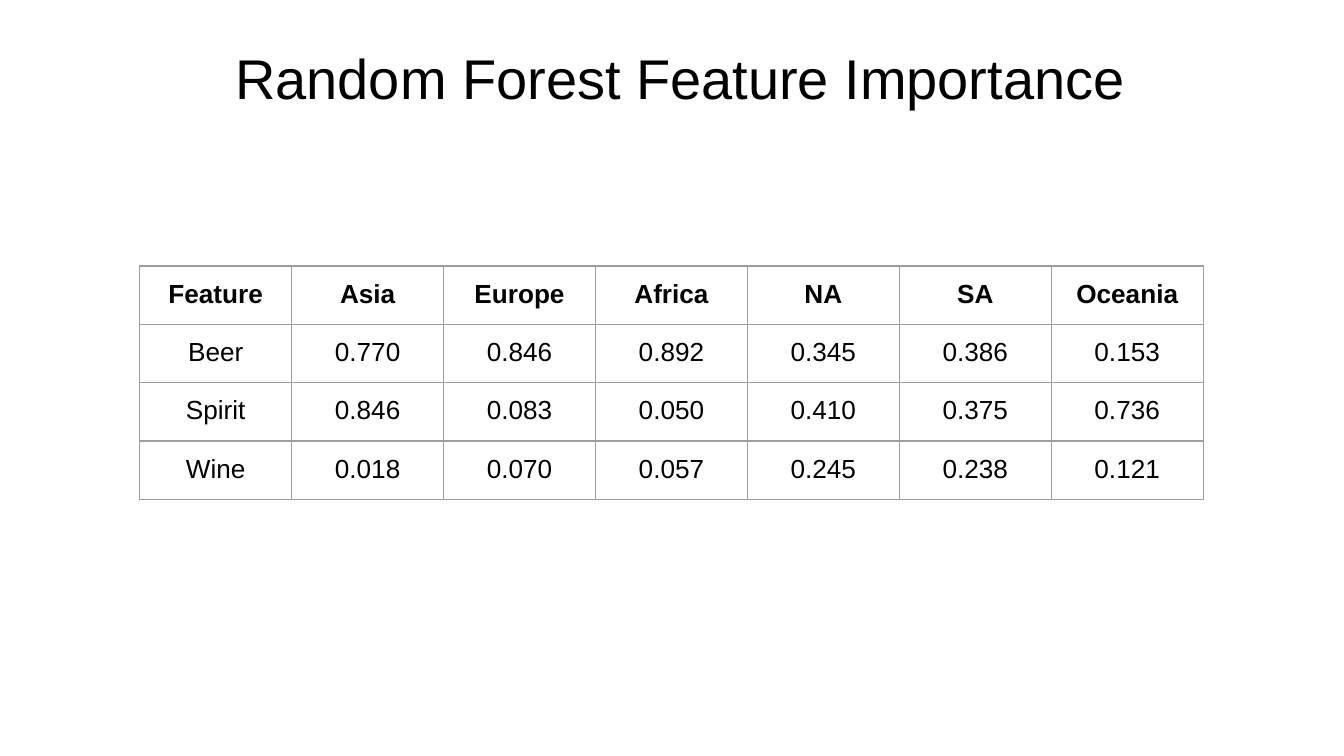
from dataclasses import dataclass

from lxml.etree import SubElement
from pptx import Presentation
from pptx.dml.color import RGBColor
from pptx.enum.text import MSO_ANCHOR as Anchor, PP_ALIGN as Align
from pptx.oxml.ns import qn
from pptx.slide import Slide
from pptx.util import Pt

BLACK = RGBColor(0x00, 0x00, 0x00)
GREY = RGBColor(0x9E, 0x9E, 0x9E)

IMPORTANCE = [
    ["Feature", "Asia", "Europe", "Africa", "NA", "SA", "Oceania"],
    ["Beer", "0.770", "0.846", "0.892", "0.345", "0.386", "0.153"],
    ["Spirit", "0.846", "0.083", "0.050", "0.410", "0.375", "0.736"],
    ["Wine", "0.018", "0.070", "0.057", "0.245", "0.238", "0.121"],
]


@dataclass
class SlideBuilder:
    slide: Slide
    font_name: str = "Arial"
    title_size: float = 30
    cell_size: float = 14
    margin: float = 7.2
    border_width: float = 0.75

    def set_text(self, paragraph, text, size, bold=False):
        paragraph.text = text
        paragraph.alignment = Align.CENTER
        font = paragraph.font
        font.name = self.font_name
        font.size = Pt(size)
        font.bold = bold
        font.color.rgb = BLACK

    def title(self, text, left, top, width, height):
        frame = self.slide.shapes.add_textbox(
            Pt(left), Pt(top), Pt(width), Pt(height)
        ).text_frame
        frame.word_wrap = True
        frame.vertical_anchor = Anchor.TOP
        frame.margin_left = frame.margin_right = frame.margin_bottom = Pt(self.margin)
        frame.margin_top = Pt(10.5)
        self.set_text(frame.paragraphs[0], text, self.title_size)

    def border(self, cell):
        properties = cell._tc.get_or_add_tcPr()
        for position, side in enumerate(("a:lnL", "a:lnR", "a:lnT", "a:lnB")):
            line = SubElement(properties, qn(side), w=str(Pt(self.border_width)))
            fill = SubElement(line, qn("a:solidFill"))
            SubElement(fill, qn("a:srgbClr"), val=str(GREY))
            properties.insert(position, line)

    def table(self, rows, left, top, column_width, row_height):
        column_count = len(rows[0])
        table = self.slide.shapes.add_table(
            len(rows), column_count, Pt(left), Pt(top),
            Pt(column_width * column_count), Pt(row_height * len(rows)),
        ).table
        table.horz_banding = False
        for column in table.columns:
            column.width = Pt(column_width)
        for row_index, values in enumerate(rows):
            table.rows[row_index].height = Pt(row_height)
            for column_index, text in enumerate(values):
                cell = table.cell(row_index, column_index)
                cell.fill.background()
                cell.margin_left = cell.margin_right = Pt(self.margin)
                cell.margin_top = cell.margin_bottom = Pt(self.margin)
                self.set_text(
                    cell.text_frame.paragraphs[0], text, self.cell_size, row_index == 0
                )
                self.border(cell)


def main():
    presentation = Presentation()
    presentation.slide_width = Pt(720)
    presentation.slide_height = Pt(405)
    builder = SlideBuilder(presentation.slides.add_slide(presentation.slide_layouts[6]))
    builder.title("Random Forest Feature Importance", 99.4, 13, 530, 69.8)
    builder.table(IMPORTANCE, 74.9, 142.5, 81.4, 30)
    presentation.save("out.pptx")


if __name__ == "__main__":
    main()
